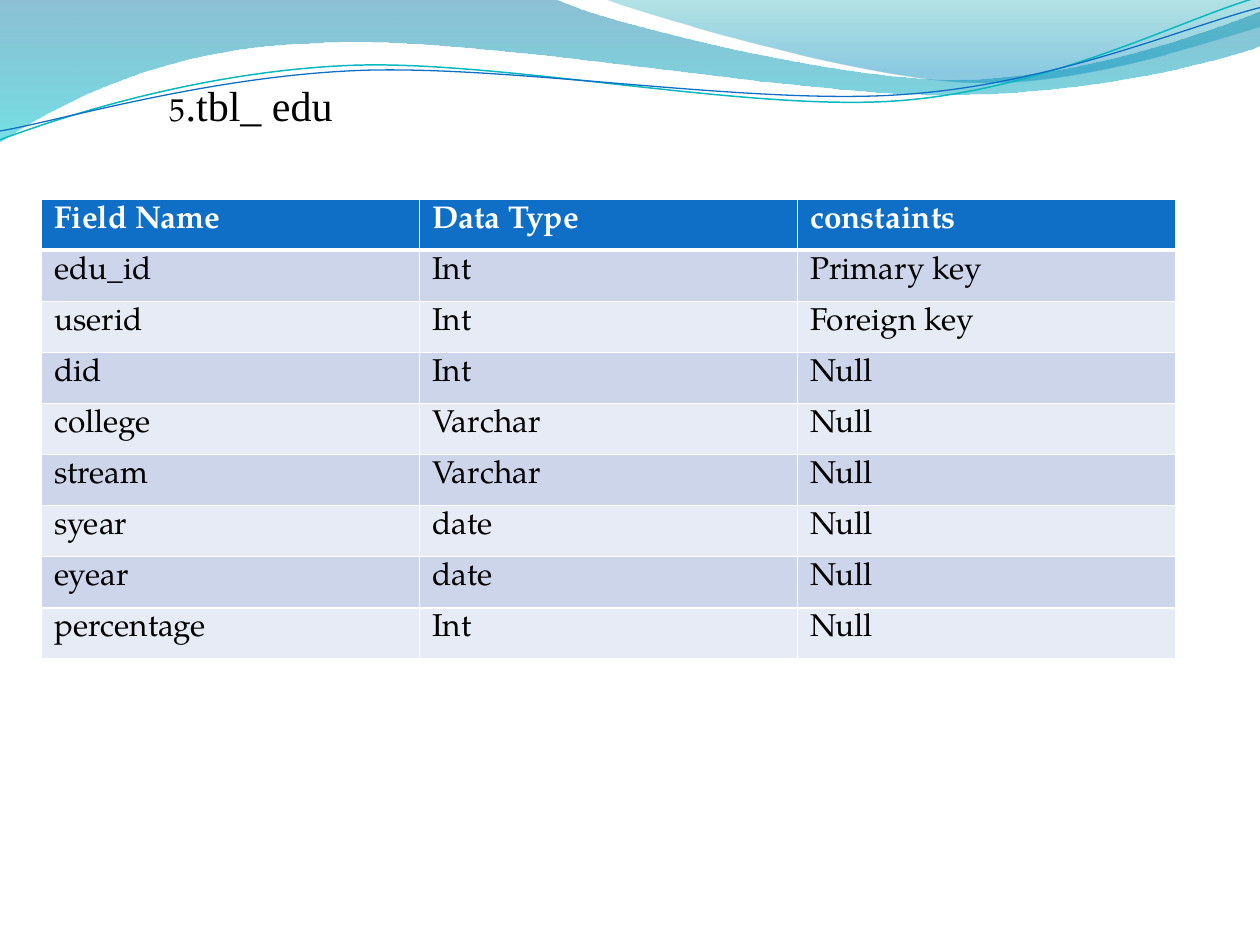
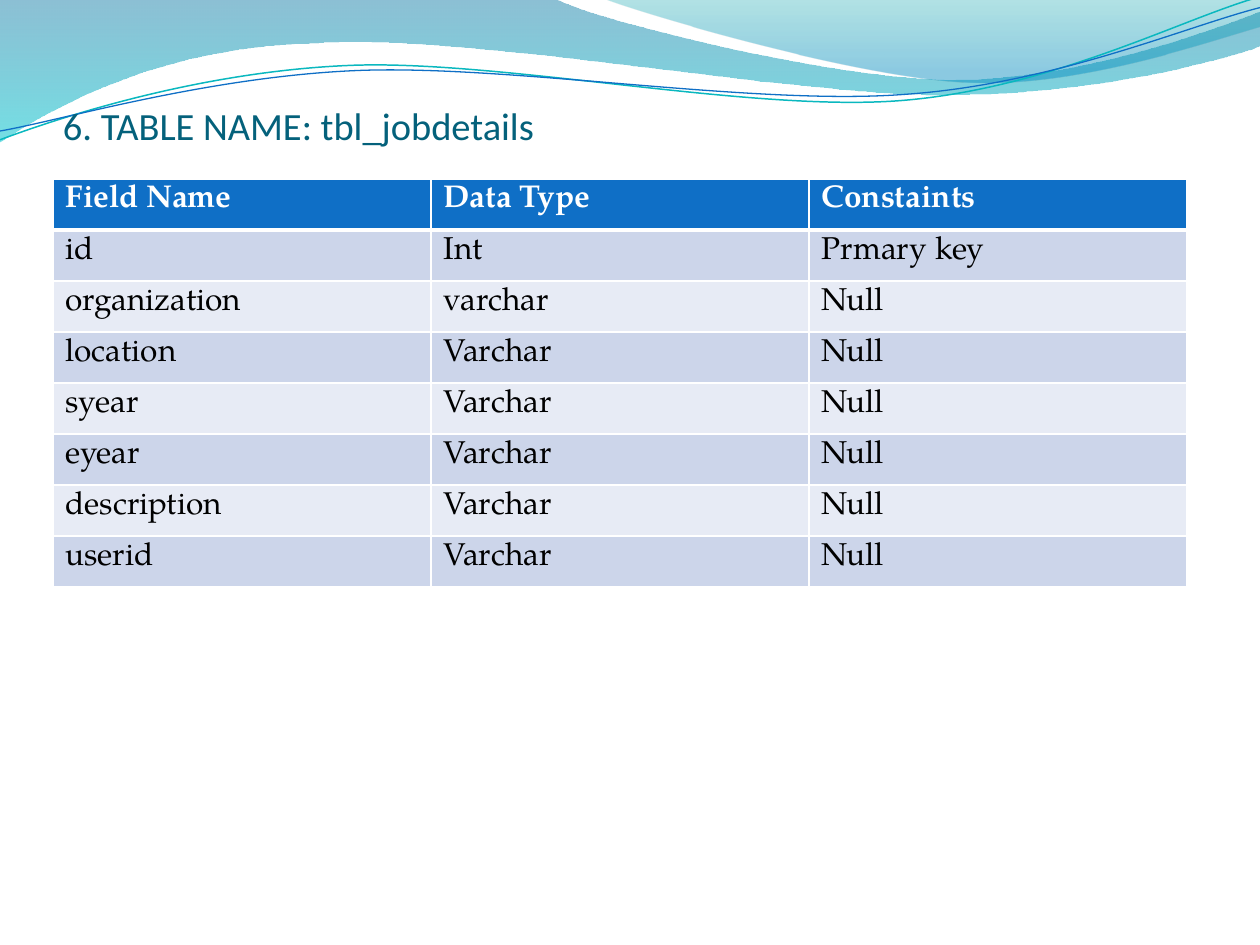
"""Two database-table slides under a shared wave header."""
import math
from dataclasses import dataclass

from lxml import etree
from pptx import Presentation
from pptx import util as u
from pptx.dml.color import RGBColor
from pptx.enum import text
from pptx.oxml import ns

COLS, ROWS = 10, 7.5          # the slide as a grid of square modules
MODULE = u.Inches(1)
TABLE_WIDTH = 9


@dataclass(frozen=True)
class Theme:
    """Colours, fonts and type sizes."""
    ink: str = "000000"
    paper: str = "FFFFFF"
    heading: str = "04617B"
    header: str = "0F6FC6"
    teal: str = "0AB8BF"
    bands: tuple = ("CCD5EA", "E7EBF5")
    body_font: str = "TeX Gyre Pagella"
    serif_font: str = "Times New Roman"
    heading_font: str = "Calibri"
    body_size: float = 18
    serif_size: float = 24
    heading_size: float = 22


THEME = Theme()


@dataclass(frozen=True)
class Stop:
    """A gradient stop: position and opacity run from 0 to 1."""
    position: float
    color: str
    opacity: float


@dataclass(frozen=True)
class Wave:
    """A header curve; each segment holds one point (line) or three (Bezier)."""
    box: tuple
    start: tuple
    segments: tuple
    stops: tuple = ()
    line: str = ""
    weight: float = 0
    rotation: float = 0


@dataclass(frozen=True)
class Run:
    """A stretch of title text in one style."""
    text: str
    font: str
    size: float
    color: str


@dataclass(frozen=True)
class Title:
    """A title box in grid modules; insets are left, top, right, bottom."""
    box: tuple
    insets: tuple
    anchor: text.MSO_ANCHOR
    runs: tuple


@dataclass(frozen=True)
class Page:
    """One slide: its title, and a field table with its corner and height."""
    title: Title
    corner: tuple
    height: float
    rows: tuple


WAVES = (
    Wave((-0.01, -0.01, 10.02, 1.14), (0, 0), (
        ((4.4, -0.01),),
        ((4.76, 0.17), (6.64, 0.63), (7.58, 0.63)),
        ((8.53, 0.63), (9.58, 0.26), (10, 0.09)),
        ((10.01, 0.36),),
        ((9.83, 0.44), (8.7, 0.76), (7.46, 0.75)),
        ((6.22, 0.75), (3.82, 0.28), (2.57, 0.34)),
        ((1.29, 0.36), (0.46, 0.83), (-0.01, 1.13)),
        ((0, 0),)),
        stops=(Stop(0, "0074A1", 0.45), Stop(1, "00C6CF", 0.55))),
    Wave((4.79, -0.01, 5.21, 0.7), (4.79, -0.01), (
        ((5.09, 0.11), (6.82, 0.62), (7.69, 0.65)),
        ((8.56, 0.69), (9.61, 0.32), (10, 0.21)),
        ((10, 0),),
        ((4.79, -0.01),)),
        stops=(Stop(0, "00A1A9", 0.3), Stop(0.8, "008BBF", 0.45))),
    Wave((-0.02, 0.22, 10.02, 0.71), (0, 1.11), (
        ((0.48, 0.93), (1.58, 0.57), (2.77, 0.52)),
        ((3.95, 0.47), (5.93, 0.89), (7.13, 0.8)),
        ((8.33, 0.71), (9.38, 0.15), (9.98, -0.02))),
        line=THEME.teal, weight=0.85, rotation=357.3),
    Wave((-0.02, 0.3, 10.03, 0.58), (0, 1.04), (
        ((0.47, 0.96), (1.64, 0.61), (2.83, 0.56)),
        ((4.03, 0.51), (5.97, 0.84), (7.17, 0.75)),
        ((8.36, 0.67), (9.41, 0.21), (10, 0.06))),
        line=THEME.header, weight=0.75, rotation=357.3),
)

PAGES = (
    Page(
        Title((1.25, 0.58, 6.08, 0.5), (0.1, 0.05, 0.1, 0.05), text.MSO_ANCHOR.TOP, (
            Run("5", THEME.body_font, THEME.body_size, THEME.ink),
            Run(".tbl_ edu", THEME.serif_font, THEME.serif_size, THEME.ink))),
        (0.33, 1.58), 3.65,
        (("Field Name", "Data Type", "constaints"),
         ("edu_id", "Int", "Primary key"),
         ("userid", "Int", "Foreign key"),
         ("did", "Int", "Null"),
         ("college", "Varchar", "Null"),
         ("stream", "Varchar", "Null"),
         ("syear", "date", "Null"),
         ("eyear", "date", "Null"),
         ("percentage", "Int", "Null"))),
    Page(
        Title((0.5, 0.77, 9, 1.25), (0, 0.05, 0, 0.84), text.MSO_ANCHOR.BOTTOM, (
            Run("6. TABLE NAME: tbl_jobdetails", THEME.heading_font,
                THEME.heading_size, THEME.heading),)),
        (0.42, 1.42), 3.24,
        (("Field Name", "Data Type", "Constaints"),
         ("id", "Int", "Prmary key"),
         ("organization", "varchar", "Null"),
         ("location", "Varchar", "Null"),
         ("syear", "Varchar", "Null"),
         ("eyear", "Varchar", "Null"),
         ("description", "Varchar", "Null"),
         ("userid", "Varchar", "Null"))),
)


def grid(modules: float) -> int:
    """Turn grid modules into a length."""
    return round(modules * MODULE)


def rgb(color: str) -> RGBColor:
    """Turn a hex string into a colour."""
    return RGBColor.from_string(color)


def set_all(target, formats: dict) -> None:
    """Set attributes from a dict of format values."""
    for name, value in formats.items():
        setattr(target, name, value)


def add_run(p, content: str, font: str, size: float, color: str, bold=False) -> None:
    """Append one styled run to a paragraph."""
    r = p.add_run()
    r.text = content
    set_all(r.font, {"name": font, "size": u.Pt(size), "bold": bold})
    r.font.color.rgb = rgb(color)


def to_local(point: tuple, wave: Wave) -> tuple:
    """Turn a slide point into one in the wave's own unrotated box."""
    left, top, width, height = wave.box
    dx, dy = point[0] - left - width / 2, point[1] - top - height / 2
    angle = math.radians(-wave.rotation)
    return (width / 2 + dx * math.cos(angle) - dy * math.sin(angle),
            height / 2 + dx * math.sin(angle) + dy * math.cos(angle))


def write_path(sp, wave: Wave) -> None:
    """Write a wave's lines and Bezier curves into a freeform's path."""
    path = next(sp._element.spPr.iter(ns.qn("a:path")))
    for child in list(path):
        path.remove(child)
    path.set("w", str(sp.width))
    path.set("h", str(sp.height))
    steps = [("moveTo", (wave.start,))]
    steps += [("lnTo" if len(pts) == 1 else "cubicBezTo", pts) for pts in wave.segments]
    for tag, points in steps:
        step = etree.SubElement(path, ns.qn(f"a:{tag}"))
        for point in points:
            x, y = map(grid, to_local(point, wave))
            etree.SubElement(step, ns.qn("a:pt"), x=str(x), y=str(y))
    if not wave.line:
        etree.SubElement(path, ns.qn("a:close"))


def fill_gradient(sp, stops: tuple) -> None:
    """Fill a shape with a translucent gradient running downwards."""
    sp.fill.gradient()
    sp.fill.gradient_angle = 270
    for gs, stop in zip(sp.fill.gradient_stops, stops):
        gs.position = stop.position
        gs.color.rgb = rgb(stop.color)
    for clr, stop in zip(sp._element.spPr.iter(ns.qn("a:srgbClr")), stops):
        etree.SubElement(clr, ns.qn("a:alpha"), val=str(round(stop.opacity * 100000)))


def draw_wave(s, wave: Wave) -> None:
    """Draw a filled wave, or an open curve when it has a line colour."""
    left, top, width, height = map(grid, wave.box)
    builder = s.shapes.build_freeform(left, top)
    builder.add_line_segments([(left + width, top + height)], close=False)
    sp = builder.convert_to_shape()
    write_path(sp, wave)
    sp.rotation = wave.rotation
    sp.shadow.inherit = False
    if wave.line:
        sp.fill.background()
        sp.line.color.rgb = rgb(wave.line)
        sp.line.width = u.Pt(wave.weight)
    else:
        fill_gradient(sp, wave.stops)
        sp.line.fill.background()


def draw_title(s, title: Title) -> None:
    """Draw a title box."""
    tf = s.shapes.add_textbox(*map(grid, title.box)).text_frame
    sides = ("margin_left", "margin_top", "margin_right", "margin_bottom")
    set_all(tf, {"word_wrap": True, "vertical_anchor": title.anchor,
                 **dict(zip(sides, map(grid, title.insets)))})
    for run in title.runs:
        add_run(tf.paragraphs[0], run.text, run.font, run.size, run.color)


def set_borders(cell, widths: dict) -> None:
    """Give a cell paper-coloured borders; call before filling it."""
    tc_pr = cell._tc.get_or_add_tcPr()
    for side, width in widths.items():
        ln = etree.SubElement(tc_pr, ns.qn(f"a:ln{side}"), w=str(u.Pt(width)))
        fill = etree.SubElement(ln, ns.qn("a:solidFill"))
        etree.SubElement(fill, ns.qn("a:srgbClr"), val=THEME.paper)


def draw_table(s, page: Page) -> None:
    """Draw a field table with a header row and banded body rows."""
    rows = page.rows
    box = (*page.corner, TABLE_WIDTH, page.height)
    table = s.shapes.add_table(len(rows), len(rows[0]), *map(grid, box)).table
    for i, row in enumerate(rows):
        header = i == 0
        color = THEME.header if header else THEME.bands[(i - 1) % 2]
        widths = {"L": 1, "R": 1, "T": 3 if i == 1 else 1, "B": 3 if header else 1}
        for j, content in enumerate(row):
            cell = table.cell(i, j)
            set_borders(cell, widths)
            cell.fill.solid()
            cell.fill.fore_color.rgb = rgb(color)
            add_run(cell.text_frame.paragraphs[0], content, THEME.body_font,
                    THEME.body_size, THEME.paper if header else THEME.ink, header)


def draw_page(prs, page: Page) -> None:
    """Add one slide with its waves, title and table."""
    s = prs.slides.add_slide(prs.slide_layouts[6])
    for wave in WAVES:
        draw_wave(s, wave)
    draw_title(s, page.title)
    draw_table(s, page)


prs = Presentation()
set_all(prs, {"slide_width": grid(COLS), "slide_height": grid(ROWS)})
for page in PAGES:
    draw_page(prs, page)
prs.save("out.pptx")
